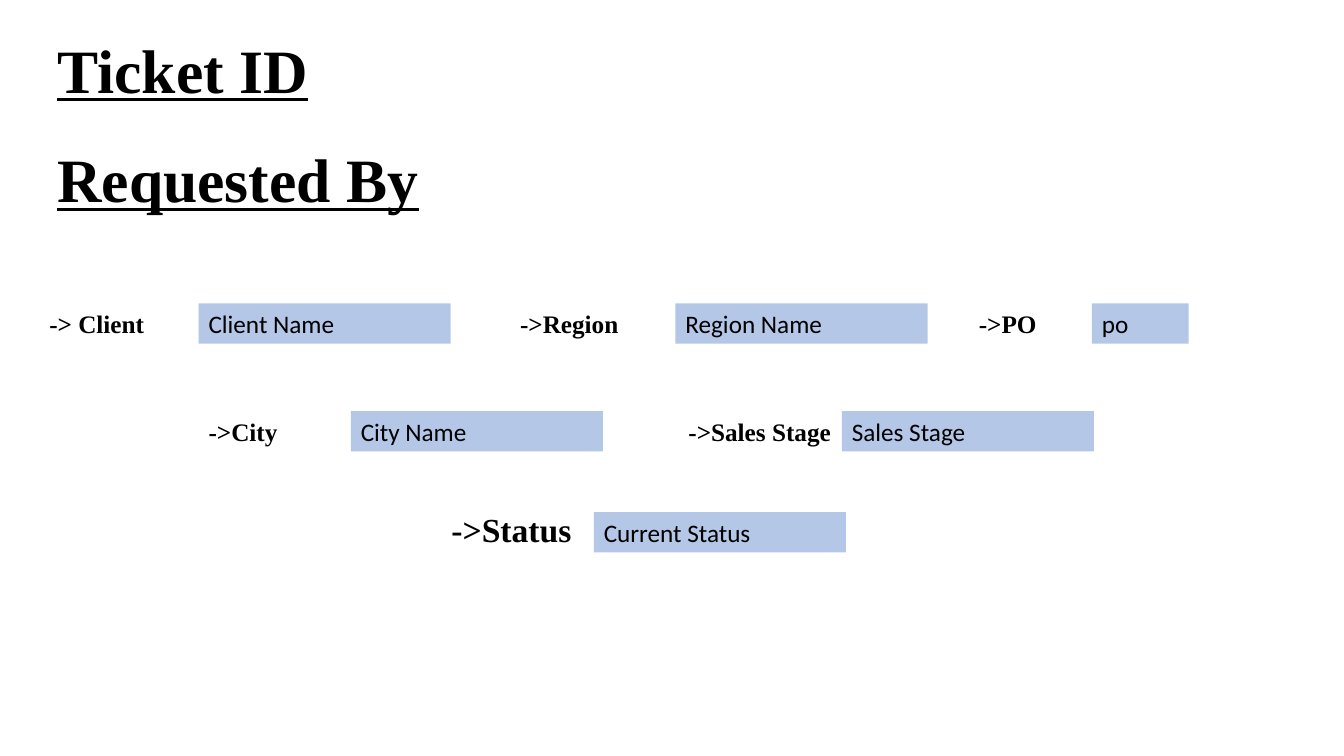
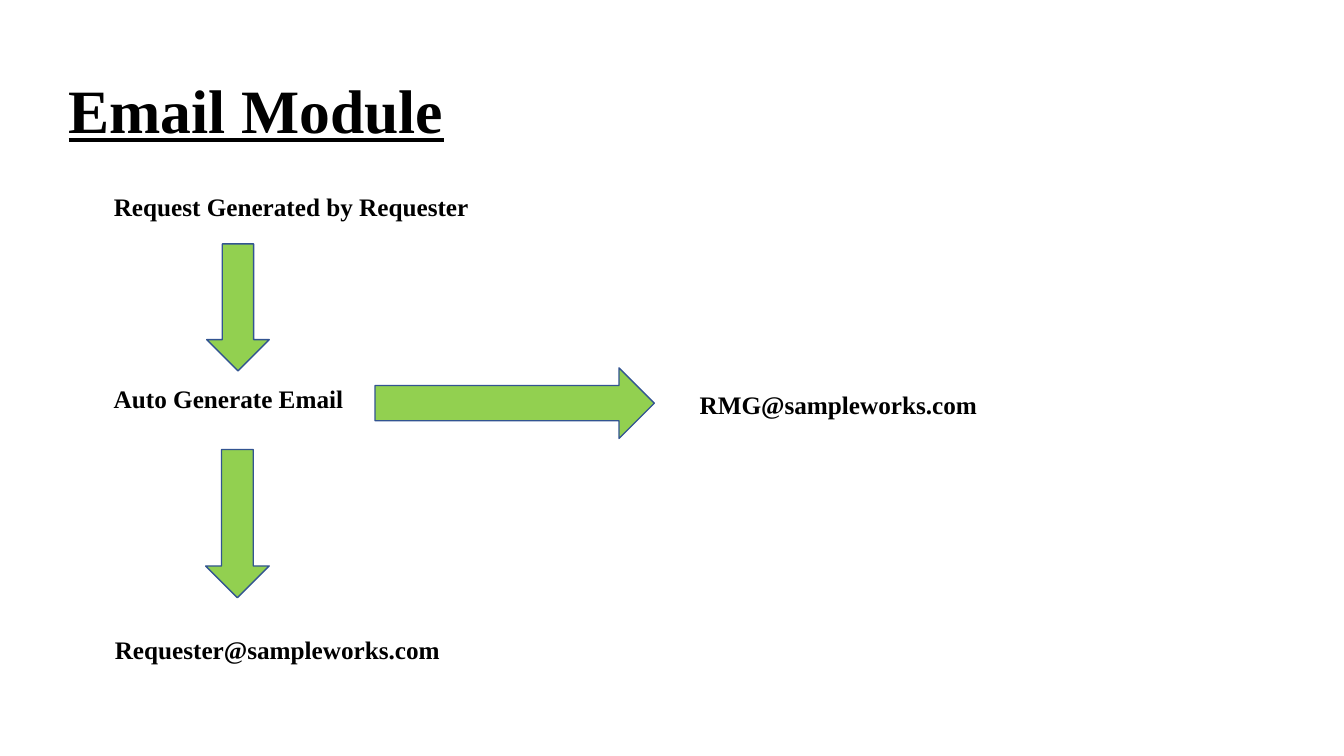
from pptx import Presentation
from pptx.dml.color import RGBColor
from pptx.enum.shapes import MSO_SHAPE as Shape
from pptx.enum.text import MSO_ANCHOR as Anchor, PP_ALIGN as Align
from pptx.util import Pt

PX = 9144
BLACK = RGBColor(0x00, 0x00, 0x00)
FIELD_BLUE = RGBColor(0xB4, 0xC7, 0xE7)
ARROW_GREEN = RGBColor(0x92, 0xD0, 0x50)
ARROW_LINE = RGBColor(0x32, 0x54, 0x91)

HEADING = {"name": "Times New Roman", "size": Pt(44), "bold": True, "underline": True}
LABEL = {"name": "Times New Roman", "size": Pt(18), "bold": True}
STATUS_LABEL = {**LABEL, "size": Pt(24)}
FIELD = {"name": "Calibri", "size": Pt(18)}
TITLE_ONLY = 5
FIELD_WIDTH = 250
ROW_HEIGHT = 40
HEADING_HEIGHT = 145


def scaled(*lengths):
    return [length * PX for length in lengths]


def write_text(shape, text, font_format, anchor=Anchor.TOP, line_spacing=1.0):
    frame = shape.text_frame
    frame.word_wrap = True
    frame.vertical_anchor = anchor
    paragraph = frame.paragraphs[0]
    paragraph.alignment = Align.LEFT
    paragraph.line_spacing = line_spacing
    run = paragraph.add_run()
    run.text = text
    run.font.color.rgb = BLACK
    for name, value in font_format.items():
        setattr(run.font, name, value)


presentation = Presentation()
presentation.slide_width, presentation.slide_height = scaled(1333, 750)
layout = presentation.slide_layouts[TITLE_ONLY]
ticket_slide = presentation.slides.add_slide(layout)
email_slide = presentation.slides.add_slide(layout)

for slide, text, left, top, width in [
    (ticket_slide, "Ticket ID", 47, 0, 1150),
    (email_slide, "Email Module", 58, 40, 1184),
]:
    title = slide.shapes.title
    title.left, title.top, title.width, title.height = scaled(left, top, width, HEADING_HEIGHT)
    write_text(title, text, HEADING, Anchor.MIDDLE, 0.9)

requester = ticket_slide.shapes.add_textbox(*scaled(47, 109, 1150, HEADING_HEIGHT))
write_text(requester, "Requested By", HEADING, Anchor.MIDDLE, 0.9)

for slide, text, left, top, width, height, font_format in [
    (ticket_slide, "-> Client", 39, 301, 151, ROW_HEIGHT, LABEL),
    (ticket_slide, "->Region", 506, 301, 119, ROW_HEIGHT, LABEL),
    (ticket_slide, "->PO", 961, 301, 78, ROW_HEIGHT, LABEL),
    (ticket_slide, "->City", 197, 408, 135, ROW_HEIGHT, LABEL),
    (ticket_slide, "->Sales Stage", 673, 408, 163, ROW_HEIGHT, LABEL),
    (ticket_slide, "->Status", 438, 500, 150, 50, STATUS_LABEL),
    (email_slide, "Request Generated by Requester", 103, 185, 441, ROW_HEIGHT, LABEL),
    (email_slide, "Auto Generate Email", 103, 375, 260, ROW_HEIGHT, LABEL),
    (email_slide, "RMG@sampleworks.com", 684, 381, 362, ROW_HEIGHT, LABEL),
    (email_slide, "Requester@sampleworks.com", 104, 624, 441, ROW_HEIGHT, LABEL),
]:
    label = slide.shapes.add_textbox(*scaled(left, top, width, height))
    write_text(label, text, font_format)

for text, left, top, width in [
    ("Client Name", 197, 301, FIELD_WIDTH),
    ("Region Name", 670, 301, FIELD_WIDTH),
    ("po", 1083, 301, 96),
    ("City Name", 348, 408, FIELD_WIDTH),
    ("Sales Stage", 835, 408, FIELD_WIDTH),
    ("Current Status", 589, 508, FIELD_WIDTH),
]:
    field = ticket_slide.shapes.add_shape(Shape.RECTANGLE, *scaled(left, top, width, ROW_HEIGHT))
    field.shadow.inherit = False
    field.fill.solid()
    field.fill.fore_color.rgb = FIELD_BLUE
    field.line.fill.background()
    write_text(field, text, FIELD)

for kind, left, top, width, height in [
    (Shape.DOWN_ARROW, 205, 242, 62, 126),
    (Shape.RIGHT_ARROW, 372, 365, 277, 70),
    (Shape.DOWN_ARROW, 204, 446, 63, 147),
]:
    arrow = email_slide.shapes.add_shape(kind, *scaled(left, top, width, height))
    arrow.shadow.inherit = False
    arrow.fill.solid()
    arrow.fill.fore_color.rgb = ARROW_GREEN
    arrow.line.color.rgb = ARROW_LINE
    arrow.line.width = Pt(1)

presentation.save("out.pptx")
